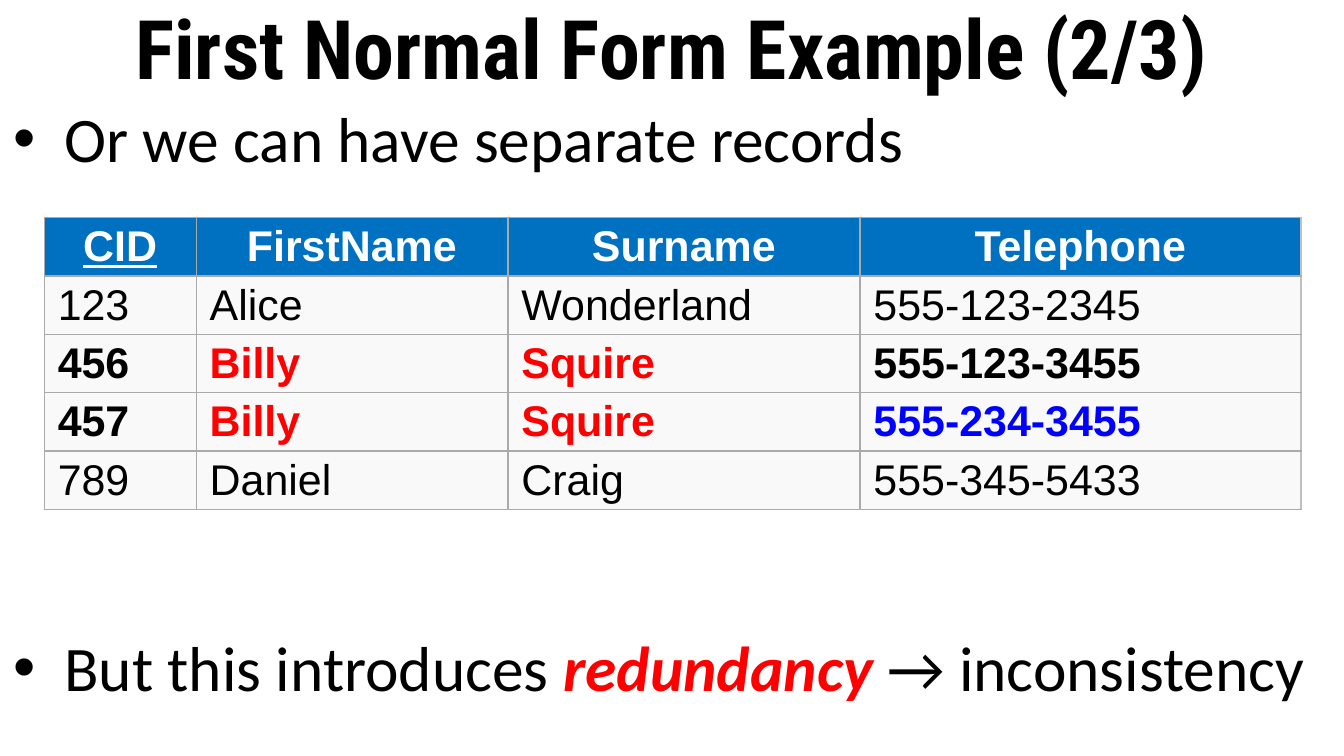
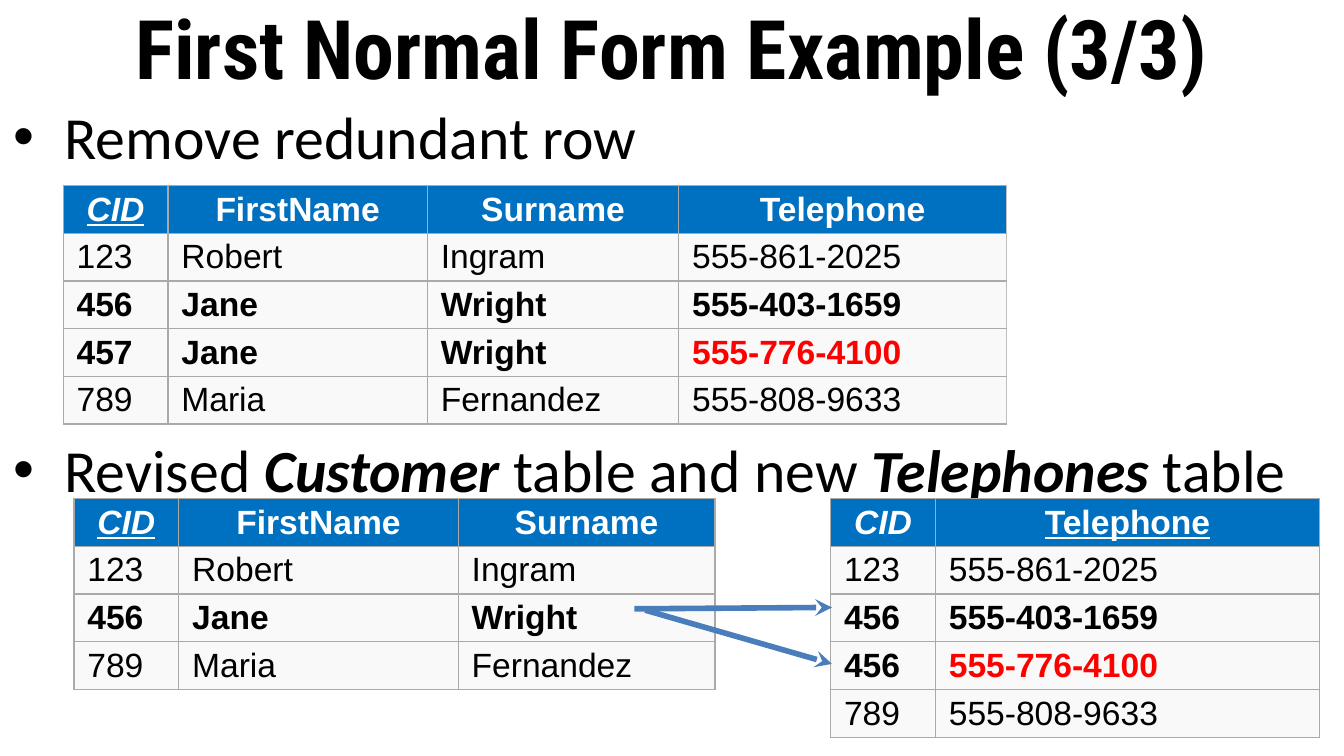
from lxml import etree
from pptx import Presentation
from pptx.dml.color import RGBColor
from pptx.enum import shapes, text
from pptx.oxml import ns
from pptx.util import Inches, Pt

BLACK = RGBColor(0x00, 0x00, 0x00)
WHITE = RGBColor(0xFF, 0xFF, 0xFF)
RED = RGBColor(0xFF, 0x00, 0x00)
BLUE = RGBColor(0x00, 0x00, 0xFF)
HEADER_FILL = RGBColor(0x00, 0x70, 0xC0)
BODY_FILL = RGBColor(0xF9, 0xF9, 0xF9)
GRID = RGBColor(0xAA, 0xAA, 0xAA)
RIGHT_EDGE = RGBColor(0xBF, 0xBF, 0xBF)
ARROW = RGBColor(0x4A, 0x7D, 0xBB)

TITLE_FONT, BULLET_FONT, TABLE_FONT = "Roboto Condensed", "Calibri", "Arial"
SLIDE_WIDTH = 10
SLIDE_HEIGHT = SLIDE_WIDTH * 9 / 16
TITLE_HEIGHT = 0.69
ROW_HEIGHT = 0.25
DUPLICATED_IDS = {"456", "457"}

# A piece of text is a string, or a (string, font settings) pair.
STRONG = {"bold": True, "italic": True}
KEY = {"underline": True}
KEY_CID = ("CID", {"italic": True, "underline": True})
SECOND_PHONE = ("555-776-4100", {"color": RED})
BILLY, SQUIRE = ("Billy", {"color": RED}), ("Squire", {"color": RED})

SLIDES = [
    {
        "title": "First Normal Form Example (2/3)",
        "bullet_size": 34,
        "bullet_gap": 242.4,
        "bullets": [
            ["Or we can have separate records"],
            ["But this introduces ", ("redundancy", {**STRONG, "color": RED}),
             " → inconsistency"],
        ],
        "tables": [
            {
                "at": (0.33, 1.62), "size": 23, "right_edge": True,
                "columns": (1.13, 2.32, 2.62, 3.28),
                "rows": [
                    [("CID", KEY), "FirstName", "Surname", "Telephone"],
                    ["123", "Alice", "Wonderland", "555-123-2345"],
                    ["456", BILLY, SQUIRE, "555-123-3455"],
                    ["457", BILLY, SQUIRE, ("555-234-3455", {"color": BLUE})],
                    ["789", "Daniel", "Craig", "555-345-5433"],
                ],
            },
        ],
        "arrows": [],
    },
    {
        "title": "First Normal Form Example (3/3)",
        "bullet_size": 32,
        "bullet_gap": 140.4,
        "bullets": [
            ["Remove redundant row"],
            ["Revised ", ("Customer", STRONG), " table and new ",
             ("Telephones", STRONG), " table"],
        ],
        "tables": [
            {
                "at": (0.55, 3.71), "size": 18, "right_edge": False,
                "columns": (0.78, 2.08, 1.91),
                "rows": [
                    [KEY_CID, "FirstName", "Surname"],
                    ["123", "Robert", "Ingram"],
                    ["456", "Jane", "Wright"],
                    ["789", "Maria", "Fernandez"],
                ],
            },
            {
                "at": (6.18, 3.71), "size": 18, "right_edge": False,
                "columns": (0.78, 2.86),
                "rows": [
                    [("CID", {"italic": True}), ("Telephone", KEY)],
                    ["123", "555-861-2025"],
                    ["456", "555-403-1659"],
                    ["456", SECOND_PHONE],
                    ["789", "555-808-9633"],
                ],
            },
            {
                "at": (0.47, 1.38), "size": 18, "right_edge": True,
                "columns": (0.78, 1.93, 1.87, 2.44),
                "rows": [
                    [KEY_CID, "FirstName", "Surname", "Telephone"],
                    ["123", "Robert", "Ingram", "555-861-2025"],
                    ["456", "Jane", "Wright", "555-403-1659"],
                    ["457", "Jane", "Wright", SECOND_PHONE],
                    ["789", "Maria", "Fernandez", "555-808-9633"],
                ],
            },
        ],
        "arrows": [((4.72, 4.53), (6.19, 4.52)), ((4.8, 4.54), (6.19, 4.94))],
    },
]


def add_run(paragraph, piece, font_name, size, color=BLACK, bold=False):
    """Append a piece of text; its own settings win over the given ones."""
    words, settings = (piece, {}) if isinstance(piece, str) else piece
    run = paragraph.add_run()
    run.text = words
    font = run.font
    font.name, font.size = font_name, Pt(size)
    font.color.rgb = settings.get("color", color)
    font.bold = settings.get("bold", bold)
    font.italic = settings.get("italic", False)
    font.underline = settings.get("underline", False)


def place(placeholder, top, height, anchor):
    """Span the slide's width and return the text frame."""
    placeholder.left, placeholder.top = 0, Inches(top)
    placeholder.width, placeholder.height = Inches(SLIDE_WIDTH), Inches(height)
    frame = placeholder.text_frame
    frame.word_wrap = True
    frame.auto_size = text.MSO_AUTO_SIZE.NONE
    frame.vertical_anchor = anchor
    return frame


def add_title(slide, title):
    frame = place(slide.shapes.title, 0, TITLE_HEIGHT, text.MSO_ANCHOR.MIDDLE)
    heading = frame.paragraphs[0]
    heading.alignment = text.PP_ALIGN.CENTER
    add_run(heading, title, TITLE_FONT, 44, bold=True)


def add_bullets(slide, bullets, size, gap):
    """Write the bullets, leaving room for a table between them."""
    frame = place(slide.placeholders[1], TITLE_HEIGHT,
                  SLIDE_HEIGHT - TITLE_HEIGHT, text.MSO_ANCHOR.TOP)
    for i, pieces in enumerate(bullets):
        bullet = frame.add_paragraph() if i else frame.paragraphs[0]
        bullet.space_before = Pt(gap if i else 0)
        indents = bullet._p.get_or_add_pPr()
        indents.set("marL", str(Inches(0.38)))
        indents.set("indent", str(-Inches(0.38)))
        for piece in pieces:
            add_run(bullet, piece, BULLET_FONT, size)


def add_border(cell, side, color, width):
    line = etree.SubElement(cell._tc.get_or_add_tcPr(), ns.qn(f"a:ln{side}"),
                            w=str(Pt(width)))
    fill = etree.SubElement(line, ns.qn("a:solidFill"))
    etree.SubElement(fill, ns.qn("a:srgbClr"), val=str(color))


def format_cell(cell, fill, right_edge):
    for side in "LRTB":
        if side == "R" and right_edge:
            add_border(cell, side, RIGHT_EDGE, 1)
        else:
            add_border(cell, side, GRID, 0.75)
    cell.fill.solid()
    cell.fill.fore_color.rgb = fill
    cell.margin_left = cell.margin_right = Inches(0.1)
    cell.margin_top = cell.margin_bottom = Pt(2.7)
    cell.vertical_anchor = text.MSO_ANCHOR.MIDDLE


def add_records(slide, records):
    rows, columns = records["rows"], records["columns"]
    left, top = records["at"]
    table = slide.shapes.add_table(
        len(rows), len(columns), Inches(left), Inches(top),
        Inches(sum(columns)), Inches(ROW_HEIGHT * len(rows))).table
    table.horz_banding = False
    for column, width in zip(table.columns, columns):
        column.width = Inches(width)
    for r, row in enumerate(rows):
        header = r == 0
        bold = header or row[0] in DUPLICATED_IDS
        for c, piece in enumerate(row):
            cell = table.cell(r, c)
            last = c == len(columns) - 1
            format_cell(cell, HEADER_FILL if header else BODY_FILL,
                        records["right_edge"] and last)
            entry = cell.text_frame.paragraphs[0]
            entry.alignment = text.PP_ALIGN.CENTER if header else text.PP_ALIGN.LEFT
            add_run(entry, piece, TABLE_FONT, records["size"],
                    WHITE if header else BLACK, bold)


def add_arrow(slide, start, end):
    arrow = slide.shapes.add_connector(
        shapes.MSO_CONNECTOR.STRAIGHT, *map(Inches, start + end))
    arrow.line.color.rgb = ARROW
    arrow.line.width = Pt(3)
    etree.SubElement(arrow.line._get_or_add_ln(), ns.qn("a:tailEnd"), type="stealth")
    etree.SubElement(arrow._element.spPr, ns.qn("a:effectLst"))


def main():
    deck = Presentation()
    deck.slide_width, deck.slide_height = Inches(SLIDE_WIDTH), Inches(SLIDE_HEIGHT)
    title_and_content = deck.slide_layouts[1]
    for content in SLIDES:
        slide = deck.slides.add_slide(title_and_content)
        add_title(slide, content["title"])
        add_bullets(slide, content["bullets"], content["bullet_size"],
                    content["bullet_gap"])
        for records in content["tables"]:
            add_records(slide, records)
        for start, end in content["arrows"]:
            add_arrow(slide, start, end)
    deck.save("out.pptx")


if __name__ == "__main__":
    main()
